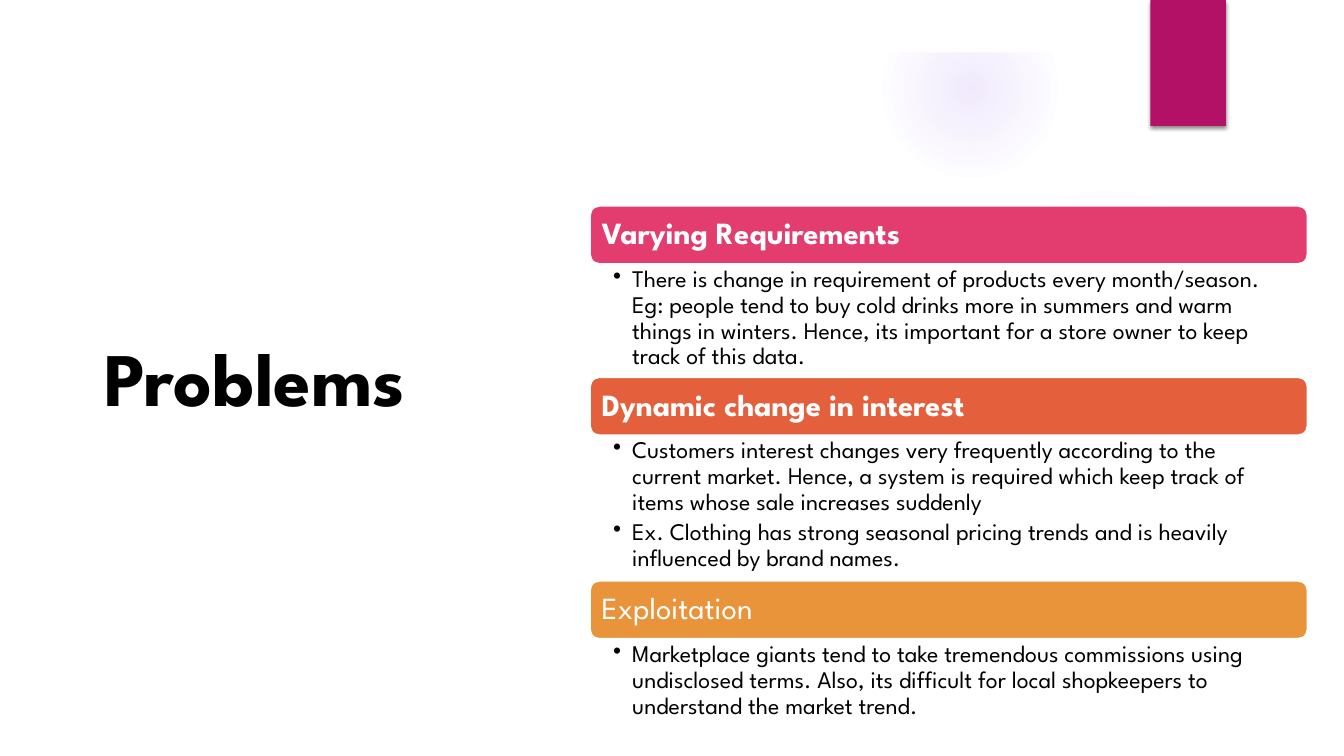
from dataclasses import dataclass

from lxml.etree import SubElement
from pptx import Presentation
from pptx.dml.color import RGBColor
from pptx.enum.shapes import MSO_SHAPE
from pptx.enum.text import MSO_ANCHOR, PP_ALIGN
from pptx.oxml import parse_xml
from pptx.oxml.ns import nsdecls, qn
from pptx.shapes.autoshape import Shape
from pptx.slide import Slide
from pptx.text.text import TextFrame
from pptx.util import Inches, Pt

FONT = "League Spartan"
WHITE = "FFFFFF"
BLACK = "000000"
GLOW_COLOR = "9B6BF2"
LIST_LEFT, LIST_TOP, LIST_WIDTH = 5.85, 2.04, 7.12
HEADING_HEIGHT = 0.58


@dataclass
class Box:
    left: float
    top: float
    width: float
    height: float

    def lengths(self) -> list[int]:
        return [Inches(value) for value in (self.left, self.top, self.width, self.height)]


@dataclass
class Glow:
    box: Box
    stops: list[tuple[int, int]]  # position and opacity, in percent


@dataclass
class Problem:
    heading: str
    color: str
    bold: bool
    body_height: float
    points: list[str]


GLOWS = [
    Glow(Box(9.41, 1.83, 3.08, 3.08), [(0, 7), (36, 6), (69, 0)]),
    Glow(Box(8.75, 0.01, 1.75, 1.75), [(0, 14), (36, 7), (73, 0)]),
]
# White areas that crop the glows to the open band of the background
MASKS = [Box(0, 0, 13.33, 0.52), Box(0.5, LIST_TOP, 12.33, 4.96)]

PROBLEMS = [
    Problem("Varying Requirements", "E33D6F", True, 1.12, [
        "There is change in requirement of products every month/season. "
        "Eg: people tend to buy cold drinks more in summers and warm things in winters. "
        "Hence, its important for a store owner to keep track of this data.",
    ]),
    Problem("Dynamic change in interest", "E45F3C", True, 1.44, [
        "Customers interest changes very frequently according to the current market. "
        "Hence, a system is required which keep track of items whose sale increases suddenly",
        "Ex. Clothing has strong seasonal pricing trends and is heavily "
        "influenced by brand names.",
    ]),
    Problem("Exploitation", "E9943A", False, 0.85, [
        "Marketplace giants tend to take tremendous commissions using undisclosed terms. "
        "Also, its difficult for local shopkeepers to understand the market trend.",
    ]),
]


def rgb(color: str) -> RGBColor:
    return RGBColor.from_string(color)


def apply_format(target: object, values: dict[str, object]) -> None:
    for name, value in values.items():
        setattr(target, name, value)


def add_filled_shape(slide: Slide, kind: MSO_SHAPE, box: Box, color: str) -> Shape:
    shape = slide.shapes.add_shape(kind, *box.lengths())
    shape.shadow.inherit = False
    shape.fill.solid()
    shape.fill.fore_color.rgb = rgb(color)
    shape.line.fill.background()
    return shape


def add_glow(slide: Slide, glow: Glow) -> None:
    shape = add_filled_shape(slide, MSO_SHAPE.OVAL, glow.box, GLOW_COLOR)
    stops = "".join(
        f'<a:gs pos="{position * 1000}"><a:srgbClr val="{GLOW_COLOR}">'
        f'<a:alpha val="{opacity * 1000}"/></a:srgbClr></a:gs>'
        for position, opacity in glow.stops
    )
    gradient = parse_xml(
        f'<a:gradFill {nsdecls("a")}><a:gsLst>{stops}</a:gsLst><a:path path="circle">'
        '<a:fillToRect l="50000" t="50000" r="50000" b="50000"/></a:path></a:gradFill>'
    )
    properties = shape.element.spPr
    properties.replace(properties.find(qn("a:solidFill")), gradient)


def add_shadow(shape: Shape) -> None:
    effects = shape.element.spPr.find(qn("a:effectLst"))
    effects.append(parse_xml(
        f'<a:outerShdw {nsdecls("a")} blurRad="38100" dist="25400" dir="5400000" rotWithShape="0">'
        f'<a:srgbClr val="{BLACK}"><a:alpha val="45000"/></a:srgbClr></a:outerShdw>'
    ))


def set_frame(frame: TextFrame, anchor: MSO_ANCHOR, insets: tuple[float, ...]) -> None:
    """Set wrapping, anchor and the left, top, right and bottom insets."""
    left, top, right, bottom = (Inches(inset) for inset in insets)
    apply_format(frame, {
        "word_wrap": True, "vertical_anchor": anchor,
        "margin_left": left, "margin_top": top, "margin_right": right, "margin_bottom": bottom,
    })


def write_paragraphs(frame: TextFrame, texts: list[str], size: int, color: str,
                     bold: bool = False, line_spacing: float = 0.9, bulleted: bool = False) -> None:
    for index, text in enumerate(texts):
        paragraph = frame.paragraphs[0] if index == 0 else frame.add_paragraph()
        apply_format(paragraph, {"alignment": PP_ALIGN.LEFT, "line_spacing": line_spacing})
        run = paragraph.add_run()
        run.text = text
        apply_format(run.font, {"name": FONT, "size": Pt(size), "bold": bold})
        run.font.color.rgb = rgb(color)
        if bulleted:
            paragraph.space_after = Pt(size * 0.2)
            properties = paragraph._p.get_or_add_pPr()
            properties.set("marL", str(Inches(0.19)))
            properties.set("indent", str(-Inches(0.19)))
            SubElement(properties, qn("a:buChar")).set("char", "•")


def add_text(slide: Slide, box: Box) -> TextFrame:
    return slide.shapes.add_textbox(*box.lengths()).text_frame


def add_problem(slide: Slide, problem: Problem, top: float) -> None:
    heading = add_filled_shape(slide, MSO_SHAPE.ROUNDED_RECTANGLE,
                               Box(LIST_LEFT, top, LIST_WIDTH, HEADING_HEIGHT), problem.color)
    heading.line.color.rgb = rgb(WHITE)
    heading.line.width = Pt(1.5)
    set_frame(heading.text_frame, MSO_ANCHOR.MIDDLE, (0.09, 0.09, 0.09, 0.09))
    write_paragraphs(heading.text_frame, [problem.heading], 22, WHITE, problem.bold)

    body = add_text(slide, Box(LIST_LEFT, top + HEADING_HEIGHT, LIST_WIDTH, problem.body_height))
    set_frame(body, MSO_ANCHOR.TOP, (0.23, 0.03, 0.17, 0.03))
    write_paragraphs(body, problem.points, 17, BLACK, bulleted=True)


def main() -> None:
    presentation = Presentation()
    apply_format(presentation, {"slide_width": Inches(13.33), "slide_height": Inches(7.5)})
    slide = presentation.slides.add_slide(presentation.slide_layouts[6])

    for glow in GLOWS:
        add_glow(slide, glow)
    for mask in MASKS:
        add_filled_shape(slide, MSO_SHAPE.RECTANGLE, mask, WHITE)
    add_shadow(add_filled_shape(slide, MSO_SHAPE.RECTANGLE, Box(11.41, 0, 0.75, 1.25), "B31166"))

    title = add_text(slide, Box(0.94, 1.11, 3.74, 5.24))
    set_frame(title, MSO_ANCHOR.MIDDLE, (0.1, 0.05, 0.1, 0.05))
    write_paragraphs(title, ["Problems"], 54, BLACK, bold=True, line_spacing=1.0)

    top = LIST_TOP
    for problem in PROBLEMS:
        add_problem(slide, problem, top)
        top += HEADING_HEIGHT + problem.body_height

    presentation.save("out.pptx")


if __name__ == "__main__":
    main()
